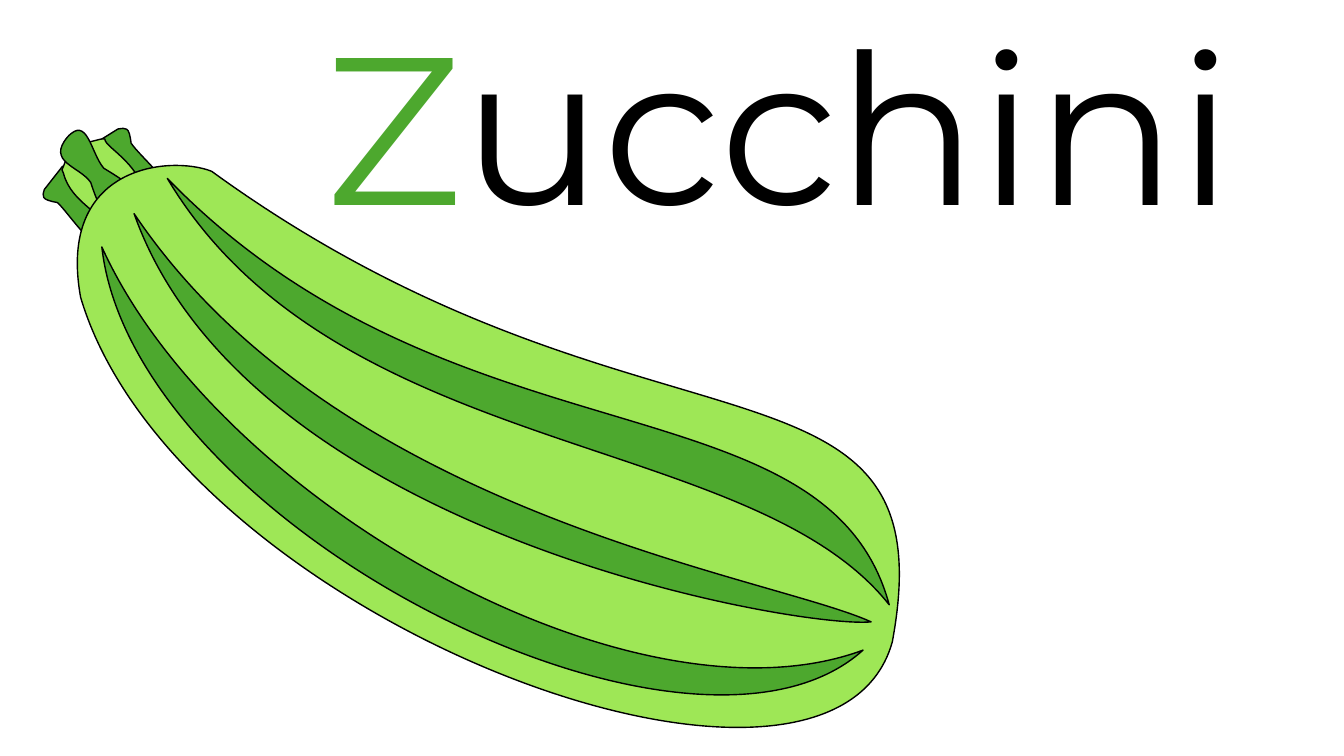
from lxml import etree
from pptx import Presentation
from pptx.dml.color import RGBColor
from pptx.enum.text import MSO_ANCHOR, MSO_AUTO_SIZE, PP_ALIGN
from pptx.oxml.ns import qn
from pptx.util import Pt

ANCHOR_TOP = MSO_ANCHOR.TOP
NO_AUTOFIT = MSO_AUTO_SIZE.NONE
ALIGN_LEFT = PP_ALIGN.LEFT

EMU_PER_PX = 9144
SLIDE_SIZE = (1333, 750)
CURVE_STEPS = 64
TITLE_ONLY_LAYOUT = 5

BLACK = "000000"
DARK_GREEN = "4DA82E"
LIGHT_GREEN = "9EE756"

LEFT_STALK = [
    [(4, 68)],
    [(22, 45)],
    [(47, 66), (72, 88), (97, 109)],
    [(79, 131)],
    [(58, 139), (29, 92), (17, 81)],
    [(0, 78), (2, 75), (4, 68)]]
RIGHT_STALK = [
    [(77, 8)],
    [(53, 23)],
    [(71, 51), (90, 78), (108, 105)],
    [(132, 89)],
    [(142, 70), (99, 36), (90, 22)],
    [(88, 5), (85, 7), (77, 8)]]
STALK_CORE = [
    [(64, 18)],
    [(62, 16), (38, 26), (32, 22)],
    [(23, 45)],
    [(21, 47), (21, 50), (23, 52)],
    [(31, 83), (65, 91), (76, 119)],
    [(78, 121), (86, 110), (88, 108)],
    [(102, 94)],
    [(104, 92), (107, 88), (105, 86)],
    [(105, 44), (64, 27), (64, 18)]]
FRONT_STALK = [
    [(63, 47)],
    [(50, 32), (47, -6), (27, 16)],
    [(6, 41), (39, 45), (50, 61)],
    [(65, 108), (75, 97), (87, 116)],
    [(114, 100)],
    [(88, 84), (130, 87), (63, 47)]]
BODY = [
    [(170, 50)],
    [(130, 34), (16, 43), (40, 175)],
    [(134, 492), (783, 738), (845, 517)],
    [(903, 205), (594, 358), (170, 50)]]
UPPER_STRIPE = [
    [(842, 480)],
    [(705, 307), (293, 337), (126, 57)],
    [(408, 348), (780, 251), (842, 480)]]
MIDDLE_STRIPE = [
    [(824, 497)],
    [(754, 504), (206, 411), (93, 92)],
    [(294, 391), (723, 451), (824, 497)]]
LOWER_STRIPE = [
    [(816, 525)],
    [(644, 680), (92, 401), (61, 125)],
    [(176, 379), (590, 609), (816, 525)]]

PARTS = [
    (LEFT_STALK, DARK_GREEN),
    (RIGHT_STALK, DARK_GREEN),
    (STALK_CORE, LIGHT_GREEN),
    (FRONT_STALK, DARK_GREEN),
    (BODY, LIGHT_GREEN),
    (UPPER_STRIPE, DARK_GREEN),
    (MIDDLE_STRIPE, DARK_GREEN),
    (LOWER_STRIPE, DARK_GREEN),
]


def px(length):
    """Turn a length in px into EMU."""
    return round(length * EMU_PER_PX)


def color(hex_string):
    """Turn a hex string into a colour."""
    return RGBColor.from_string(hex_string)


def add_text(paragraph, text, font="Montserrat", size=150, fill=BLACK):
    """Append a formatted run to a paragraph."""
    run = paragraph.add_run()
    run.text = text
    run.font.name = font
    run.font.size = Pt(size)
    run.font.color.rgb = color(fill)


def curve_point(values, t):
    """Return one coordinate of a cubic Bézier curve at t."""
    weights = ((1 - t) ** 3, 3 * t * (1 - t) ** 2, 3 * t ** 2 * (1 - t), t ** 3)
    return sum(weight * value for weight, value in zip(weights, values))


def bounds(segments, axis):
    """Return the least and greatest coordinate an outline reaches on an axis."""
    reached = [segment[-1][axis] for segment in segments]
    for previous, segment in zip(segments, segments[1:]):
        if len(segment) == 3:
            values = [point[axis] for point in (previous[-1], *segment)]
            reached += [curve_point(values, step / CURVE_STEPS) for step in range(CURVE_STEPS)]
    return min(reached), max(reached)


def trace_outline(shape, segments, left, top):
    """Replace the frame of a freeform by lines and Bézier curves."""
    outline = shape.element.find(".//" + qn("a:path"))
    for child in list(outline):
        outline.remove(child)
    for index, segment in enumerate(segments):
        kind = "a:cubicBezTo" if len(segment) == 3 else "a:lnTo" if index else "a:moveTo"
        command = etree.SubElement(outline, qn(kind))
        for x, y in segment:
            etree.SubElement(command, qn("a:pt"), x=str(px(x - left)), y=str(px(y - top)))
    etree.SubElement(outline, qn("a:close"))


def add_part(shapes, left, top, segments, fill):
    """Draw one filled outline relative to the given corner."""
    (x_min, x_max), (y_min, y_max) = bounds(segments, 0), bounds(segments, 1)
    corners = [(x_min, y_min), (x_max, y_min), (x_max, y_max), (x_min, y_max)]
    frame = [(px(left + x), px(top + y)) for x, y in corners]
    builder = shapes.build_freeform(*frame[0], scale=1.0)
    builder.add_line_segments(frame[1:])
    shape = builder.convert_to_shape()
    trace_outline(shape, segments, x_min, y_min)
    shape.shadow.inherit = False
    shape.fill.solid()
    shape.fill.fore_color.rgb = color(fill)
    shape.line.color.rgb = color(BLACK)
    shape.line.width = Pt(1)


def add_zucchini(slide, left, top):
    """Draw the vegetable as one group with its corner at left, top."""
    group = slide.shapes.add_group_shape()
    for segments, fill in PARTS:
        add_part(group.shapes, left, top, segments, fill)


def add_title(slide, left, top, width, height):
    """Write the word with a green initial in the title placeholder."""
    title = slide.shapes.title
    title.left, title.top, title.width, title.height = map(px, (left, top, width, height))
    frame = title.text_frame
    frame.word_wrap = True
    frame.auto_size = NO_AUTOFIT
    frame.vertical_anchor = ANCHOR_TOP
    paragraph = frame.paragraphs[0]
    paragraph.alignment = ALIGN_LEFT
    add_text(paragraph, "Z", fill=DARK_GREEN)
    add_text(paragraph, "ucchini")


def main():
    """Build the slide and save it."""
    presentation = Presentation()
    presentation.slide_width, presentation.slide_height = map(px, SLIDE_SIZE)
    slide = presentation.slides.add_slide(presentation.slide_layouts[TITLE_ONLY_LAYOUT])
    add_title(slide, 313, -9, 1015, 263)
    add_zucchini(slide, 40, 120)
    presentation.save("out.pptx")


if __name__ == "__main__":
    main()
